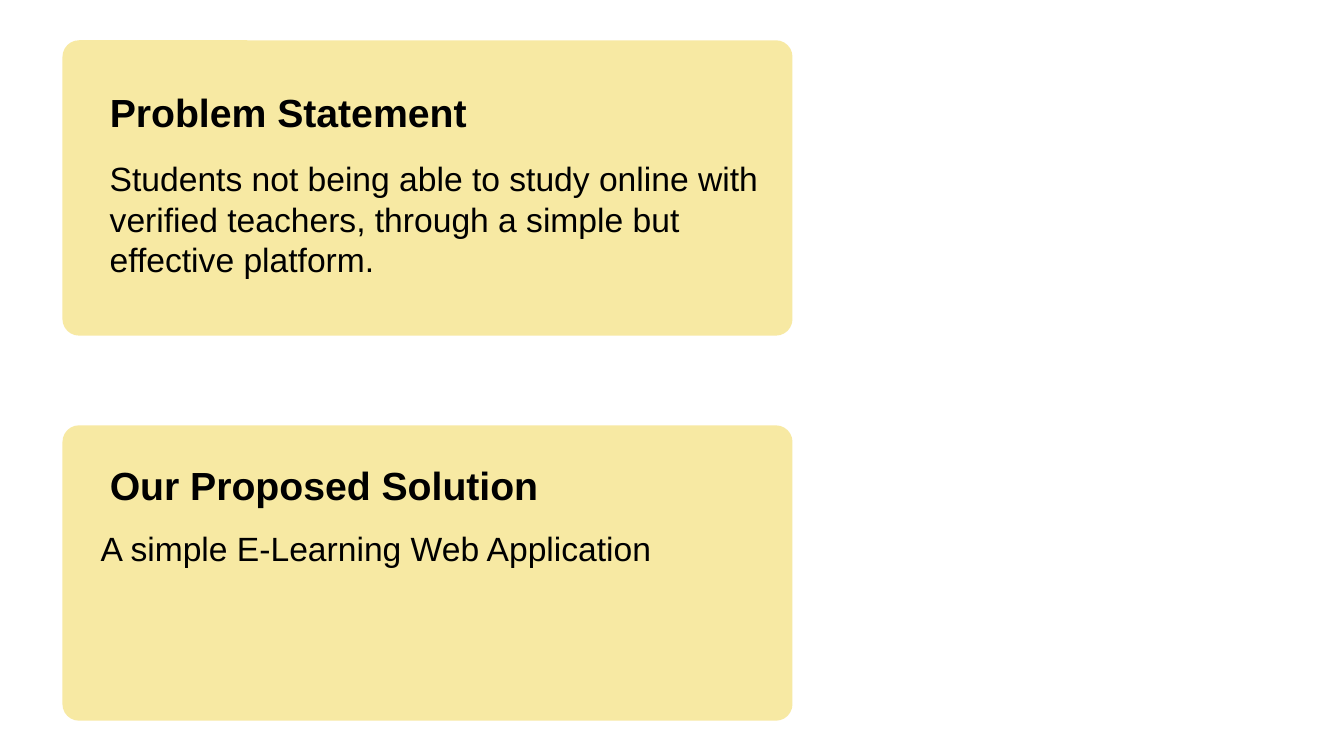
from lxml import etree
from pptx import Presentation
from pptx.dml.color import RGBColor
from pptx.enum.shapes import MSO_SHAPE as SHAPE
from pptx.enum.text import MSO_ANCHOR as ANCHOR
from pptx.oxml.ns import qn
from pptx.util import Inches, Pt

CREAM = RGBColor(0xF6, 0xE4, 0x8C)
BLACK = RGBColor(0, 0, 0)

HEADING = {"size": Pt(28), "bold": True}
BODY = {"size": Pt(24), "bold": False}
HEADING_SPACING = {"line_spacing": 1.1, "space_before": Pt(5.6)}

CARD_LEFT, CARD_WIDTH, CARD_HEIGHT = 0.62, 7.24, 2.93

# Card top, then each text with its offset from the card and its size
CARDS = [
    (0.4,
     ("Problem Statement", 0.37, 0.49, 3.92, 0.39),
     ("Students not being able to study online with verified teachers, "
      "through a simple but effective platform.", 0.37, 1.12, 6.67, 1.31)),
    (4.22,
     ("Our Proposed Solution", 0.37, 0.37, 4.91, 0.39),
     ("A simple E-Learning Web Application", 0.28, 0.97, 6.67, 0.91)),
]


def add_text(s, text, x, y, w, h, font, spacing, anchor):
    tf = s.shapes.add_textbox(Inches(x), Inches(y), Inches(w), Inches(h)).text_frame
    tf.word_wrap = True
    tf.vertical_anchor = anchor
    p = tf.paragraphs[0]
    for name, value in spacing.items():
        setattr(p, name, value)
    r = p.add_run()
    r.text = text
    for name, value in {"name": "Arial", **font}.items():
        setattr(r.font, name, value)
    r.font.color.rgb = BLACK


def add_card(s, x, y, w, h, heading, body):
    # Translucent rounded panel
    sp = s.shapes.add_shape(SHAPE.ROUNDED_RECTANGLE,
                            Inches(x), Inches(y), Inches(w), Inches(h))
    sp.adjustments[0] = 0.056
    sp.shadow.inherit = False
    sp.fill.solid()
    sp.fill.fore_color.rgb = CREAM
    sp.line.fill.background()
    color = sp.fill._xPr.find(qn("a:solidFill")).find(qn("a:srgbClr"))
    etree.SubElement(color, qn("a:alpha")).set("val", "80000")

    # Heading and body
    for (text, dx, dy, tw, th), font, spacing, anchor in (
            (heading, HEADING, HEADING_SPACING, ANCHOR.MIDDLE),
            (body, BODY, {}, ANCHOR.TOP)):
        add_text(s, text, x + dx, y + dy, tw, th, font, spacing, anchor)


def main():
    prs = Presentation()
    prs.slide_width, prs.slide_height = Inches(13.33), Inches(7.5)
    s = prs.slides.add_slide(prs.slide_layouts[6])
    for top, heading, body in CARDS:
        add_card(s, CARD_LEFT, top, CARD_WIDTH, CARD_HEIGHT, heading, body)
    prs.save("out.pptx")


if __name__ == "__main__":
    main()
